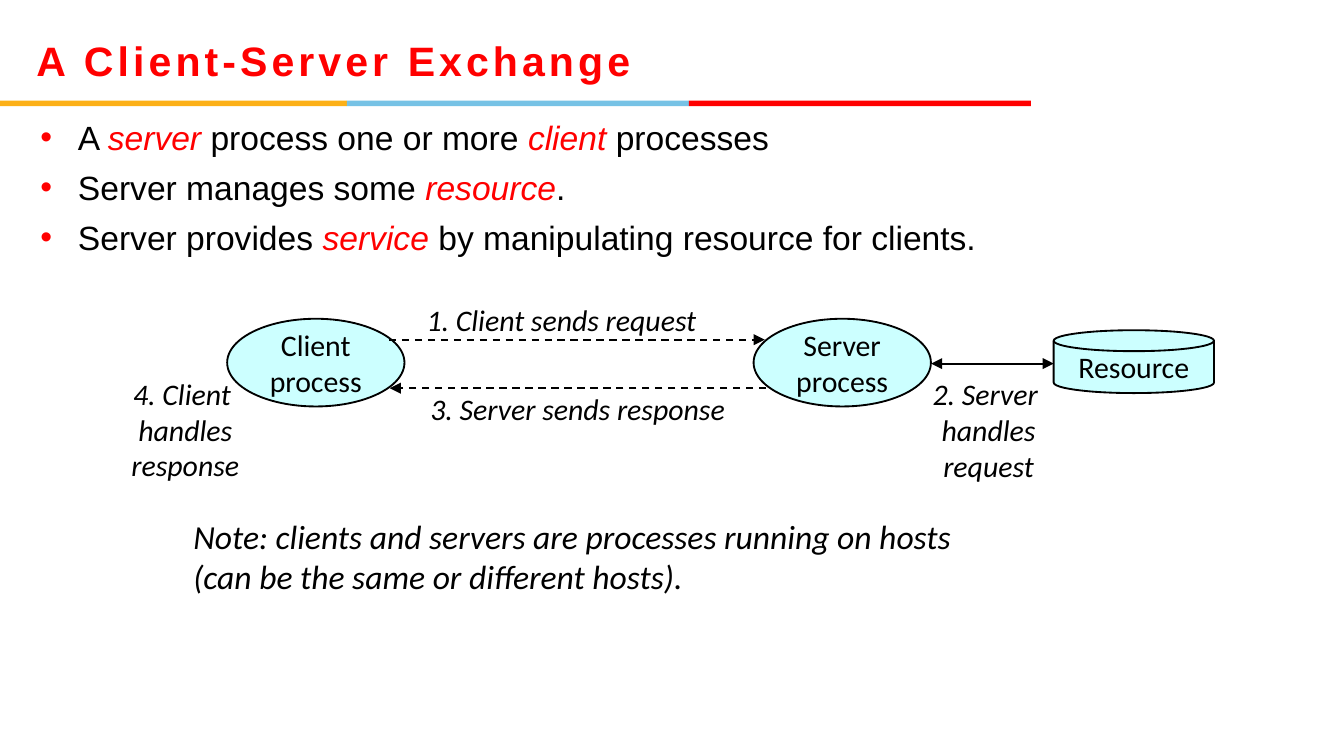
import pptx
import pptx.dml.color
import pptx.enum.dml
import pptx.enum.shapes
import pptx.enum.text
import pptx.oxml
import pptx.oxml.ns
import pptx.util

Pt = pptx.util.Pt
RGB = pptx.dml.color.RGBColor
SHAPE = pptx.enum.shapes.MSO_SHAPE
ALIGN = pptx.enum.text.PP_ALIGN
ANCHOR = pptx.enum.text.MSO_ANCHOR

RED = RGB(0xFF, 0, 0)
BLACK = RGB(0, 0, 0)
AMBER = RGB(0xFC, 0xB0, 0x17)
SKY = RGB(0x76, 0xC2, 0xE5)
PALE_CYAN = RGB(0xCC, 0xFF, 0xFF)

# Each bullet alternates plain and emphasised text, starting with plain.
BULLETS = [
    ["A ", "server", " process one or more ", "client ", "processes"],
    ["Server manages some ", "resource", "."],
    ["Server provides ", "service", " by manipulating resource for clients."],
]


def add_element(parent, tag, **attributes):
    element = pptx.oxml.parse_xml(f"<a:{tag} {pptx.oxml.ns.nsdecls('a')}/>")
    for name, value in attributes.items():
        element.set(name, value)
    parent.append(element)
    return element


def format_run(r, size, font="Calibri", color=BLACK, bold=False, italic=False):
    r.font.size = Pt(size)
    r.font.name = font
    r.font.color.rgb = color
    r.font.bold = bold
    r.font.italic = italic


def set_lines(tf, text, size, align=ALIGN.CENTER, italic=False):
    """Write one paragraph per line, in black Calibri without wrapping."""
    tf.word_wrap = False
    tf.text = text
    for p in tf.paragraphs:
        p.alignment = align
        for r in p.runs:
            format_run(r, size, italic=italic)


def add_filled(s, kind, left, top, width, height, color):
    sp = s.shapes.add_shape(kind, Pt(left), Pt(top), Pt(width), Pt(height))
    sp.shadow.inherit = False
    sp.fill.solid()
    sp.fill.fore_color.rgb = color
    sp.line.fill.background()
    return sp


def add_node(s, kind, left, top, width, height, text):
    sp = add_filled(s, kind, left, top, width, height, PALE_CYAN)
    sp.line.color.rgb = BLACK
    sp.line.width = Pt(1)
    sp.text_frame.vertical_anchor = ANCHOR.MIDDLE
    set_lines(sp.text_frame, text, 16)


def add_text_box(s, left, top, width, height):
    return s.shapes.add_textbox(Pt(left), Pt(top), Pt(width), Pt(height)).text_frame


def add_label(s, left, top, width, height, text):
    tf = add_text_box(s, left, top, width, height)
    tf.vertical_anchor = ANCHOR.MIDDLE
    set_lines(tf, text, 16, italic=True)


def add_arrow(s, start, end, y, dashed=False, double=False):
    """Draw a horizontal arrow pointing at end, or at both ends."""
    line = s.shapes.add_connector(
        pptx.enum.shapes.MSO_CONNECTOR.STRAIGHT, Pt(start), Pt(y), Pt(end), Pt(y))
    line.line.color.rgb = BLACK
    line.line.width = Pt(1)
    if dashed:
        line.line.dash_style = pptx.enum.dml.MSO_LINE.DASH
    ln = line.line._get_or_add_ln()
    if double:
        add_element(ln, "headEnd", type="triangle")
    add_element(ln, "tailEnd", type="triangle")
    add_element(line._element.spPr, "effectLst")


def add_title(s, text):
    tf = add_text_box(s, 19.5, 9.4, 515, 46)
    tf.word_wrap = True
    tf.vertical_anchor = ANCHOR.MIDDLE
    tf.margin_left = tf.margin_right = tf.margin_top = tf.margin_bottom = 0
    tf.text = text
    r = tf.paragraphs[0].runs[0]
    format_run(r, 22, "Arial", RED, bold=True)
    r._r.get_or_add_rPr().set("spc", "220")


def add_rule(s):
    left = 0
    for width, color in [(185.8, AMBER), (183.2, SKY), (183.2, RED)]:
        add_filled(s, SHAPE.RECTANGLE, left, 54, width, 2.9, color)
        left += width


def add_bullets(s, items):
    tf = add_text_box(s, 21.6, 59, 669.6, 324)
    tf.word_wrap = True
    tf.margin_left = tf.margin_right = 0
    for i, parts in enumerate(items):
        p = tf.add_paragraph() if i else tf.paragraphs[0]
        p.alignment = ALIGN.JUSTIFY
        if i:
            p.space_before = Pt(5.2)
        pPr = p._p.get_or_add_pPr()
        pPr.set("marL", str(Pt(20.2)))
        pPr.set("indent", str(-Pt(20.2)))
        add_element(add_element(pPr, "buClr"), "srgbClr", val=str(RED))
        add_element(pPr, "buFont", typeface="Arial")
        add_element(pPr, "buChar", char="•")
        for j, part in enumerate(parts):
            emphasised = j % 2 == 1
            r = p.add_run()
            r.text = part
            format_run(r, 18, "Arial", RED if emphasised else BLACK, italic=emphasised)


def add_exchange(s):
    add_node(s, SHAPE.OVAL, 121.7, 170.8, 95, 47, "Client\nprocess")
    add_arrow(s, 208.4, 409.7, 182, dashed=True)
    add_node(s, SHAPE.OVAL, 403.7, 170.8, 95, 47, "Server\nprocess")
    add_label(s, 220.3, 158, 161, 26.6, "1. Client sends request")
    add_label(s, 491.8, 197.5, 75.6, 65.5, "2. Server \nhandles\nrequest")
    add_arrow(s, 410.4, 208.8, 208, dashed=True)
    add_label(s, 222.5, 205.5, 174, 26.6, "3. Server sends response")
    add_label(s, 62.6, 197.2, 73.4, 65.5, "4. Client \nhandles\nresponse")
    add_arrow(s, 498.8, 564.5, 194.8, double=True)
    add_node(s, SHAPE.FLOWCHART_MAGNETIC_DISK, 564.5, 176.9, 85.9, 33.7, "Resource")


def add_note(s, text):
    tf = add_text_box(s, 96.5, 272.9, 429, 51)
    set_lines(tf, text, 18, ALIGN.LEFT, italic=True)


def main():
    prs = pptx.Presentation()
    prs.slide_width, prs.slide_height = Pt(720), Pt(405)
    s = prs.slides.add_slide(prs.slide_layouts[6])
    add_rule(s)
    add_title(s, "A Client-Server Exchange")
    add_bullets(s, BULLETS)
    add_exchange(s)
    add_note(s, "Note: clients and servers are processes running on hosts\n"
                "(can be the same or different hosts).")
    prs.save("out.pptx")


if __name__ == "__main__":
    main()
